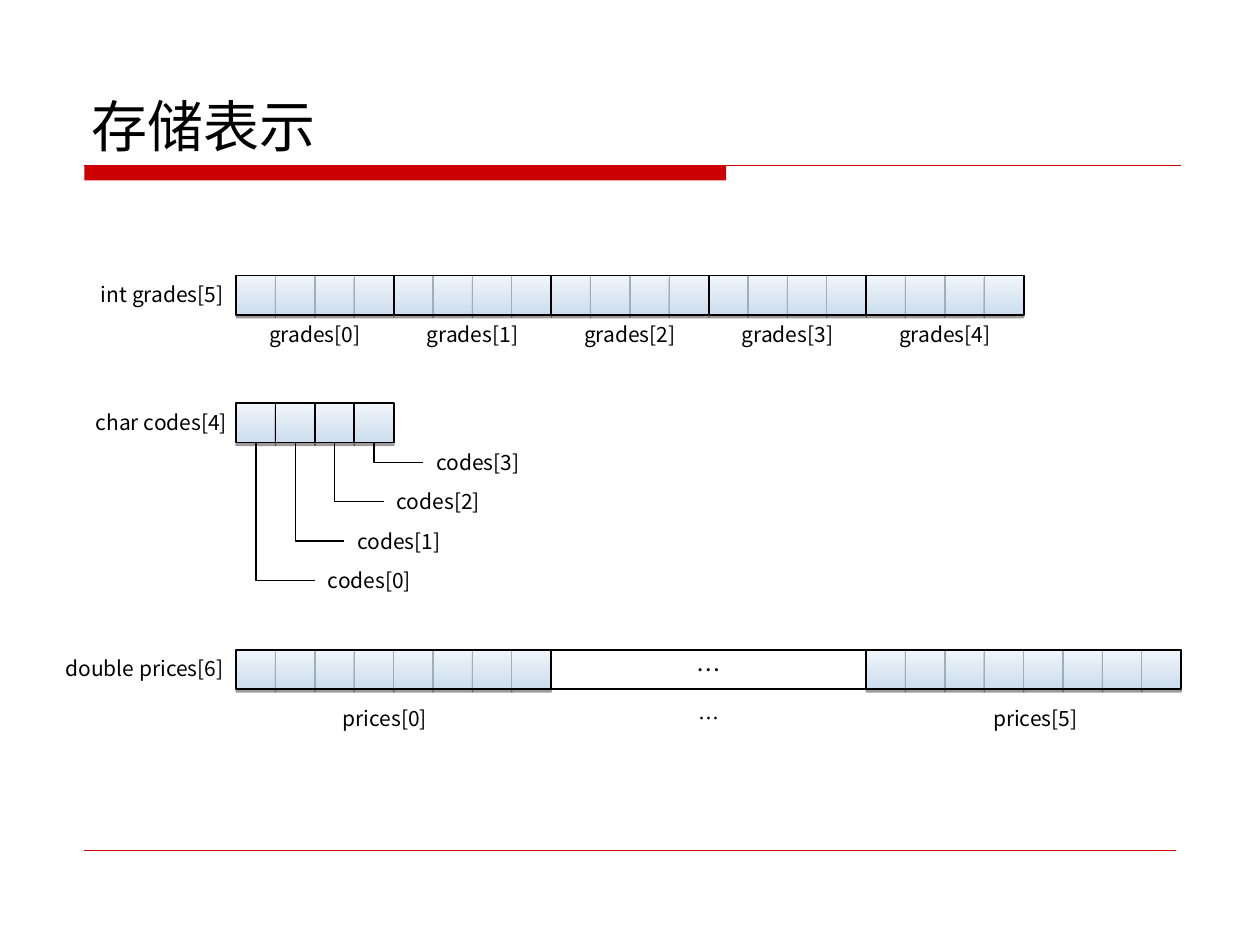
from dataclasses import dataclass

from lxml.etree import SubElement
from pptx import Presentation
from pptx.dml.color import RGBColor
from pptx.enum.shapes import MSO_CONNECTOR as CONN, MSO_SHAPE as SHAPE
from pptx.enum.text import MSO_ANCHOR as ANCHOR, PP_ALIGN as ALIGN
from pptx.oxml.ns import qn
from pptx.util import Cm, Pt


@dataclass(frozen=True)
class Theme:
    font: str = "Noto Sans CJK SC"
    ink: str = "000000"
    accent: str = "CC0000"
    cell_line: str = "9FAEBD"
    cell_low: str = "CCDDEE"
    cell_high: str = "F0F5FB"
    title: int = 32
    dots: int = 14
    label: int = 12


THEME = Theme()

# Lengths in centimetres; one cell is one byte of memory.
SLIDE_W, SLIDE_H = 25.4, 19.05
CELL = SLIDE_W / 32
STRIP_X = 6 * CELL
GRADES_Y, CODES_Y, PRICES_Y = 7 * CELL, 8.13, 13.1
INT_BYTES, DOUBLE_BYTES = 4, 8
LABEL_W, LABEL_H = 2.4, 0.77
NAME_W = 3.7


def rgb(value):
    return RGBColor.from_string(value)


def write(tf, text, size=THEME.label, align=ALIGN.CENTER, anchor=ANCHOR.TOP, wrap=False):
    tf.word_wrap = wrap
    tf.vertical_anchor = anchor
    p = tf.paragraphs[0]
    p.alignment = align
    r = p.add_run()
    r.text = text
    r.font.name = THEME.font
    r.font.size = Pt(size)
    r.font.color.rgb = rgb(THEME.ink)
    SubElement(r.font._element, qn("a:ea"), typeface=THEME.font)


def add_label(s, text, x, y, w=LABEL_W, **fmt):
    box = s.shapes.add_textbox(Cm(x), Cm(y), Cm(w), Cm(LABEL_H))
    write(box.text_frame, text, **fmt)


def add_centred_label(s, text, centre, y):
    add_label(s, text, centre - LABEL_W / 2, y)


def add_array_name(s, text, y, right=STRIP_X):
    add_label(s, text, right - NAME_W, y, NAME_W, align=ALIGN.RIGHT)


def add_box(s, x, y, w, h=CELL, color=THEME.ink, width=1):
    """Add an unfilled rectangle with a plain outline."""
    box = s.shapes.add_shape(SHAPE.RECTANGLE, Cm(x), Cm(y), Cm(w), Cm(h))
    box.shadow.inherit = False
    box.fill.background()
    box.line.color.rgb = rgb(color)
    box.line.width = Pt(width)
    return box


def add_drop_shadow(shape):
    effects = shape._element.spPr.find(qn("a:effectLst"))
    shadow = SubElement(effects, qn("a:outerShdw"), blurRad="0", dist=str(Pt(1.6)),
                        dir="5400000", rotWithShape="0")
    color = SubElement(shadow, qn("a:srgbClr"), val=THEME.ink)
    SubElement(color, qn("a:alpha"), val="38000")


def add_cells(s, x, y, count, **outline):
    for i in range(count):
        cell = add_box(s, x + i * CELL, y, CELL, **outline)
        cell.fill.gradient()
        cell.fill.gradient_angle = 90
        for stop, color in zip(cell.fill.gradient_stops, (THEME.cell_low, THEME.cell_high)):
            stop.color.rgb = rgb(color)
        add_drop_shadow(cell)


def add_element(s, x, y, size):
    """Add one array element: its bytes and a frame around them."""
    add_cells(s, x, y, size, color=THEME.cell_line, width=0.75)
    add_box(s, x, y, size * CELL)


def add_line(s, kind, x1, y1, x2, y2, color, width):
    line = s.shapes.add_connector(kind, Cm(x1), Cm(y1), Cm(x2), Cm(y2))
    line.line.color.rgb = rgb(color)
    line.line.width = Pt(width)
    SubElement(line._element.spPr, qn("a:effectLst"))
    return line


def add_elbow(s, x, y, run, drop):
    """Add a line that goes down by drop, then right by run."""
    cx, cy = x + run / 2, y + drop / 2
    elbow = add_line(s, CONN.ELBOW, cx + drop / 2, cy - run / 2,
                     cx - drop / 2, cy + run / 2, THEME.ink, 0.75)
    spPr = elbow._element.spPr
    spPr.find(qn("a:xfrm")).set("rot", str(270 * 60000))
    spPr.find(qn("a:prstGeom")).set("prst", "bentConnector2")


def add_title(s, text):
    title = s.shapes.title
    title.left, title.top, title.width, title.height = Cm(1.6), Cm(0.84), Cm(22.22), Cm(2.49)
    write(title.text_frame, text, size=THEME.title, align=ALIGN.LEFT,
          anchor=ANCHOR.BOTTOM, wrap=True)


def add_rules(s):
    left, top = 1.7, 3.33
    bar = add_box(s, left, top, 12.94, 0.31)
    bar.fill.solid()
    bar.fill.fore_color.rgb = rgb(THEME.accent)
    bar.line.fill.background()
    add_line(s, CONN.STRAIGHT, left, top, 23.8, top, THEME.accent, 0.75)
    add_line(s, CONN.STRAIGHT, left, 17.15, 23.7, 17.15, THEME.accent, 0.25)


def add_grades(s):
    width = INT_BYTES * CELL
    add_array_name(s, "int grades[5]", GRADES_Y)
    for i in range(5):
        x = STRIP_X + i * width
        add_element(s, x, GRADES_Y, INT_BYTES)
        add_centred_label(s, f"grades[{i}]", x + width / 2, GRADES_Y + CELL)


def add_codes(s):
    add_array_name(s, "char codes[4]", CODES_Y, right=4.83)
    add_cells(s, STRIP_X, CODES_Y, 4)
    bottom = CODES_Y + CELL
    for i in range(4):
        x = STRIP_X + (i + 0.5) * CELL
        run = (1.25 if i else 1.5) * CELL
        drop = (3.5 - i) * CELL
        add_elbow(s, x, bottom, run, drop)
        add_centred_label(s, f"codes[{i}]", x + run + 1.1, bottom + drop - LABEL_H / 2)


def add_prices(s):
    width = DOUBLE_BYTES * CELL
    add_array_name(s, "double prices[6]", PRICES_Y)
    add_element(s, STRIP_X, PRICES_Y, DOUBLE_BYTES)
    gap = add_box(s, STRIP_X + width, PRICES_Y, width)
    tf = gap.text_frame
    tf.margin_left = tf.margin_right = tf.margin_top = tf.margin_bottom = 0
    write(tf, "…", size=THEME.dots, anchor=ANCHOR.MIDDLE, wrap=True)
    add_element(s, STRIP_X + 2 * width, PRICES_Y, DOUBLE_BYTES)
    for text, centre in (("prices[0]", 7.76), ("…", 14.3), ("prices[5]", 20.87)):
        add_centred_label(s, text, centre, PRICES_Y + CELL + 0.2)


def main():
    prs = Presentation()
    prs.slide_width, prs.slide_height = Cm(SLIDE_W), Cm(SLIDE_H)
    s = prs.slides.add_slide(prs.slide_layouts[5])
    add_rules(s)
    add_title(s, "存储表示")
    add_grades(s)
    add_prices(s)
    add_codes(s)
    prs.save("out.pptx")


if __name__ == "__main__":
    main()
